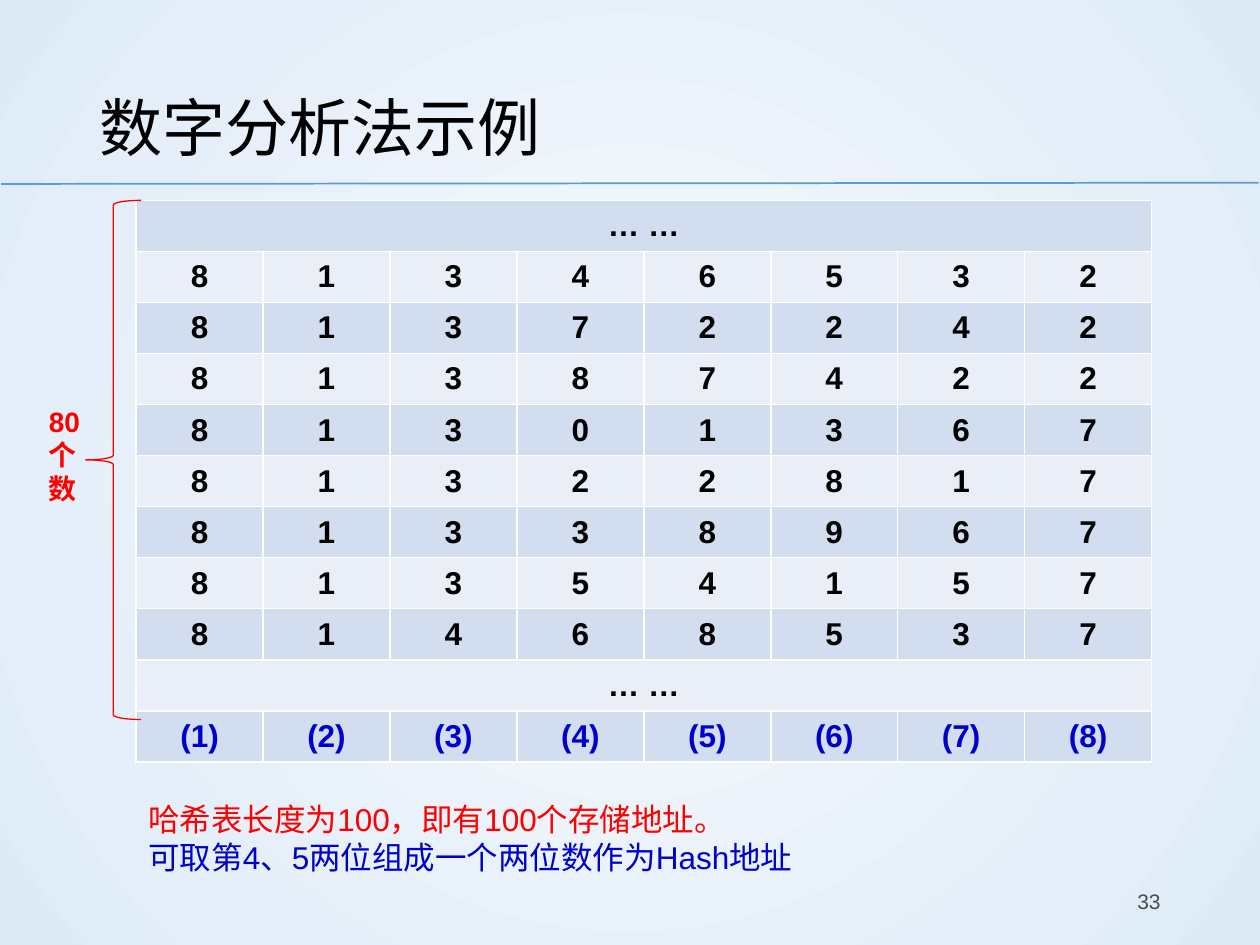
import pptx
import pptx.dml.color
import pptx.enum.shapes
import pptx.enum.text
import pptx.oxml
import pptx.oxml.ns
import pptx.util
from pptx.dml.color import RGBColor
from pptx.enum.text import MSO_ANCHOR, PP_ALIGN
from pptx.util import Inches

BLACK = RGBColor(0x00, 0x00, 0x00)
RED = RGBColor(0xFF, 0x00, 0x00)
BLUE = RGBColor(0x00, 0x00, 0xCC)
GRAY = RGBColor(0x4B, 0x4B, 0x4B)
RULE_BLUE = RGBColor(0x5B, 0x9B, 0xD5)
BAND_FILLS = [RGBColor(0xD2, 0xDE, 0xEF), RGBColor(0xEA, 0xEF, 0xF7)]
BACKGROUND_COLORS = [RGBColor(0xF7, 0xFA, 0xFD), RGBColor(0xDE, 0xEB, 0xF7)]
NAMESPACE = pptx.oxml.ns.nsdecls("a")

DIGIT_ROWS = ["81346532", "81372242", "81387422", "81301367",
              "81322817", "81338967", "81354157", "81468537"]
COLUMN_COUNT = 8


def write_text(text_frame, text, size=18, color=BLACK, bold=False,
               align=PP_ALIGN.LEFT, line_spacing=None, new_paragraph=False):
    paragraph = text_frame.add_paragraph() if new_paragraph else text_frame.paragraphs[0]
    paragraph.alignment = align
    if line_spacing:
        paragraph.line_spacing = line_spacing
    run = paragraph.add_run()
    run.text = text
    run.font.name = "Arial"
    run.font.size = pptx.util.Pt(size)
    run.font.bold = bold
    run.font.color.rgb = color


def add_text_frame(left, top, width, height, anchor=MSO_ANCHOR.TOP):
    box = slide.shapes.add_textbox(Inches(left), Inches(top), Inches(width), Inches(height))
    box.text_frame.word_wrap = True
    box.text_frame.vertical_anchor = anchor
    return box.text_frame


presentation = pptx.Presentation()
presentation.slide_width = Inches(10)
presentation.slide_height = Inches(7.5)
slide = presentation.slides.add_slide(presentation.slide_layouts[6])

# Radial background gradient
background_fill = slide.background.fill
background_fill.gradient()
for stop, color in zip(background_fill.gradient_stops, BACKGROUND_COLORS):
    stop.color.rgb = color
linear = slide.element.find(".//" + pptx.oxml.ns.qn("a:lin"))
linear.getparent().replace(linear, pptx.oxml.parse_xml(
    f'<a:path {NAMESPACE} path="circle">'
    '<a:fillToRect l="50000" t="50000" r="50000" b="50000"/></a:path>'))

# Title and the rule below it
rule = slide.shapes.add_connector(pptx.enum.shapes.MSO_CONNECTOR.STRAIGHT,
                                  Inches(0.01), Inches(1.46), Inches(9.99), Inches(1.45))
rule.line.color.rgb = RULE_BLUE
rule.line.width = pptx.util.Pt(1)
rule._element.spPr.append(pptx.oxml.parse_xml(f"<a:effectLst {NAMESPACE}/>"))
title = add_text_frame(0.69, 0.4, 8.62, 1.08, MSO_ANCHOR.MIDDLE)
write_text(title, "数字分析法示例", size=36, line_spacing=1.2)

# Table of keys with the digit positions in the last row
ellipsis_row = ["… …"] + [""] * (COLUMN_COUNT - 1)
position_row = [f"({number})" for number in range(1, COLUMN_COUNT + 1)]
rows = [ellipsis_row, *DIGIT_ROWS, ellipsis_row, position_row]
table = slide.shapes.add_table(len(rows), COLUMN_COUNT, Inches(1.08), Inches(1.59),
                               Inches(8.06), Inches(4.46)).table
for row_index, values in enumerate(rows):
    for column_index, value in enumerate(values):
        cell = table.cell(row_index, column_index)
        cell.vertical_anchor = MSO_ANCHOR.MIDDLE
        cell.fill.solid()
        cell.fill.fore_color.rgb = BAND_FILLS[row_index % 2]
        properties = cell._tc.get_or_add_tcPr()
        for position, side in enumerate(["lnL", "lnR", "lnT", "lnB"]):
            properties.insert(position, pptx.oxml.parse_xml(
                f'<a:{side} {NAMESPACE} w="12700"><a:solidFill>'
                f'<a:srgbClr val="FFFFFF"/></a:solidFill></a:{side}>'))
        if value:
            write_text(cell.text_frame, value, bold=True, align=PP_ALIGN.CENTER,
                       color=BLUE if values is position_row else BLACK)
    if values is ellipsis_row:
        table.cell(row_index, 0).merge(table.cell(row_index, COLUMN_COUNT - 1))

# Slide number
page_number = add_text_frame(7.06, 6.95, 2.25, 0.4, MSO_ANCHOR.MIDDLE)
write_text(page_number, "33", size=12, color=GRAY, align=PP_ALIGN.RIGHT)

# Brace counting the keys
brace = slide.shapes.add_shape(pptx.enum.shapes.MSO_SHAPE.LEFT_BRACE,
                               Inches(0.68), Inches(1.59), Inches(0.44), Inches(4.12))
brace.shadow.inherit = False
brace.fill.background()
brace.line.color.rgb = RED
brace.line.width = pptx.util.Pt(0.75)
key_count = add_text_frame(0.29, 3.16, 0.59, 0.91)
write_text(key_count, "80个数", size=16, color=RED, bold=True)

# Conclusion
conclusion = add_text_frame(1.08, 6.3, 8.04, 0.71)
write_text(conclusion, "哈希表长度为100，即有100个存储地址。", color=RED)
write_text(conclusion, "可取第4、5两位组成一个两位数作为Hash地址", color=BLUE, new_paragraph=True)

presentation.save("out.pptx")
